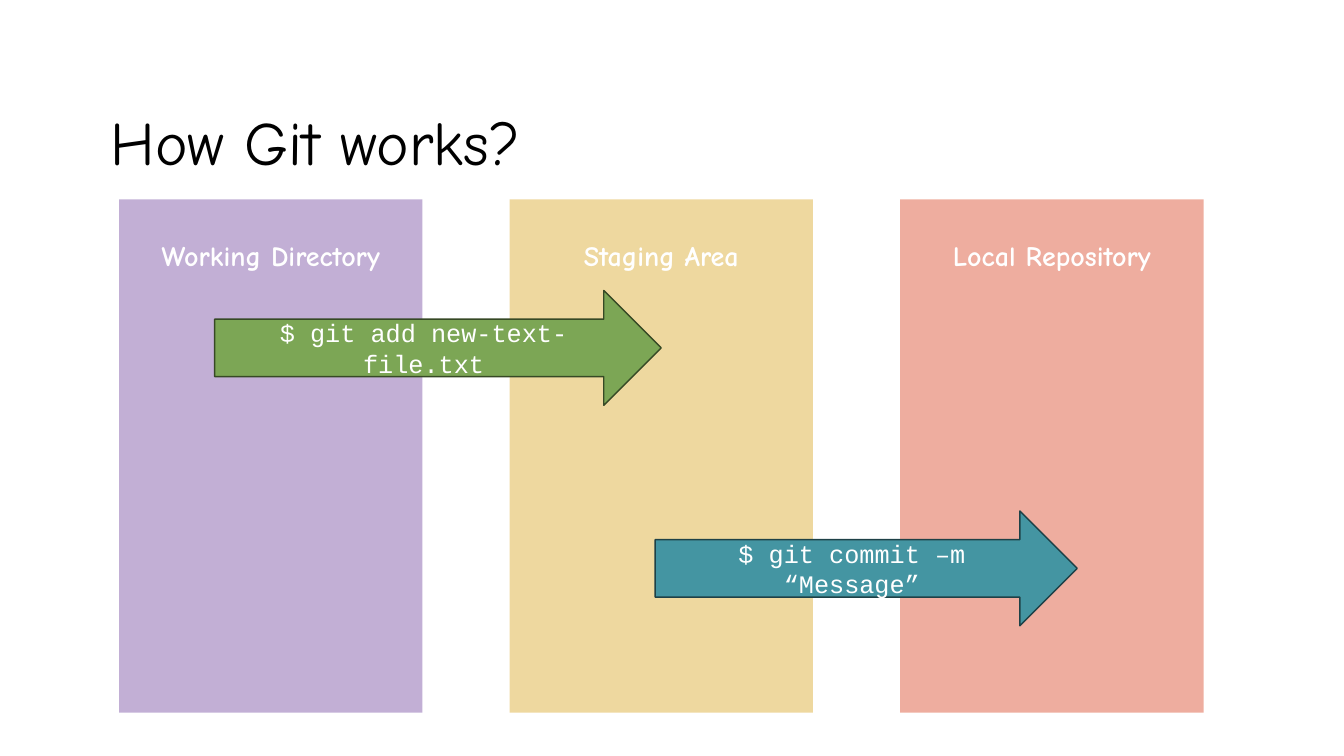
from lxml import etree
from pptx import Presentation
from pptx.dml.color import RGBColor
from pptx.enum.shapes import MSO_SHAPE
from pptx.enum.text import MSO_ANCHOR, PP_ALIGN
from pptx.oxml.ns import qn
from pptx.util import Pt

COLOURS = {
    "black": "000000", "white": "FFFFFF",
    "purple": "8760AD", "yellow": "DFB240", "red": "DF5D40",
    "green": "7CA655", "dark green": "364925",
    "teal": "4495A2", "dark teal": "1E4147",
}
TITLE = {"name": "Comic Neue", "size": Pt(44)}
HEADING = {"name": "Comic Neue", "size": Pt(20), "bold": True}
COMMAND = {"name": "Courier New", "size": Pt(18)}

AREAS = [("Working Directory", "purple"), ("Staging Area", "yellow"),
         ("Local Repository", "red")]
AREA_LEFT, AREA_STEP = 85, 279
ARROW_HEIGHT = 82


def colour(name):
    return RGBColor.from_string(COLOURS[name])


def write(shape, text, font_format, text_colour, anchor, align, spacing=1.0):
    frame = shape.text_frame
    frame.word_wrap = True
    frame.vertical_anchor = anchor
    para = frame.paragraphs[0]
    para.alignment = align
    para.line_spacing = spacing
    span = para.add_run()
    span.text = text
    for attribute, value in font_format.items():
        setattr(span.font, attribute, value)
    span.font.color.rgb = colour(text_colour)


def add_filled(page, kind, left, top, width, height, fill):
    shape = page.shapes.add_shape(kind, Pt(left), Pt(top), Pt(width), Pt(height))
    shape.shadow.inherit = False
    shape.fill.solid()
    shape.fill.fore_color.rgb = colour(fill)
    return shape


def make_half_transparent(shape):
    fill = shape._element.spPr.find(qn("a:solidFill"))
    etree.SubElement(fill[0], qn("a:alpha"), val="50000")


def add_title(page, text):
    box = page.shapes.add_textbox(Pt(72), Pt(75), Pt(792), Pt(57.6))
    write(box, text, TITLE, "black", MSO_ANCHOR.MIDDLE, PP_ALIGN.LEFT, 0.9)


def add_area(page, left, heading, fill):
    area = add_filled(page, MSO_SHAPE.RECTANGLE, left, 142.5, 216.7, 366.5, fill)
    make_half_transparent(area)
    area.line.fill.background()
    write(area, heading, HEADING, "white", MSO_ANCHOR.TOP, PP_ALIGN.CENTER, 2.0)


def add_command_arrow(page, left, top, width, command, fill):
    arrow = add_filled(page, MSO_SHAPE.RIGHT_ARROW, left, top, width,
                       ARROW_HEIGHT, fill)
    arrow.line.color.rgb = colour("dark " + fill)
    arrow.line.width = Pt(1)
    write(arrow, command, COMMAND, "white", MSO_ANCHOR.MIDDLE, PP_ALIGN.CENTER)


def main():
    deck = Presentation()
    deck.slide_width, deck.slide_height = Pt(960), Pt(540)
    page = deck.slides.add_slide(deck.slide_layouts[6])
    add_title(page, "How Git works?")
    for index, (heading, fill) in enumerate(AREAS):
        add_area(page, AREA_LEFT + index * AREA_STEP, heading, fill)
    add_command_arrow(page, 468, 365, 301.5, "$ git commit –m “Message”", "teal")
    add_command_arrow(page, 153.3, 207.5, 319, "$ git add new-text-file.txt", "green")
    deck.save("out.pptx")


if __name__ == "__main__":
    main()
